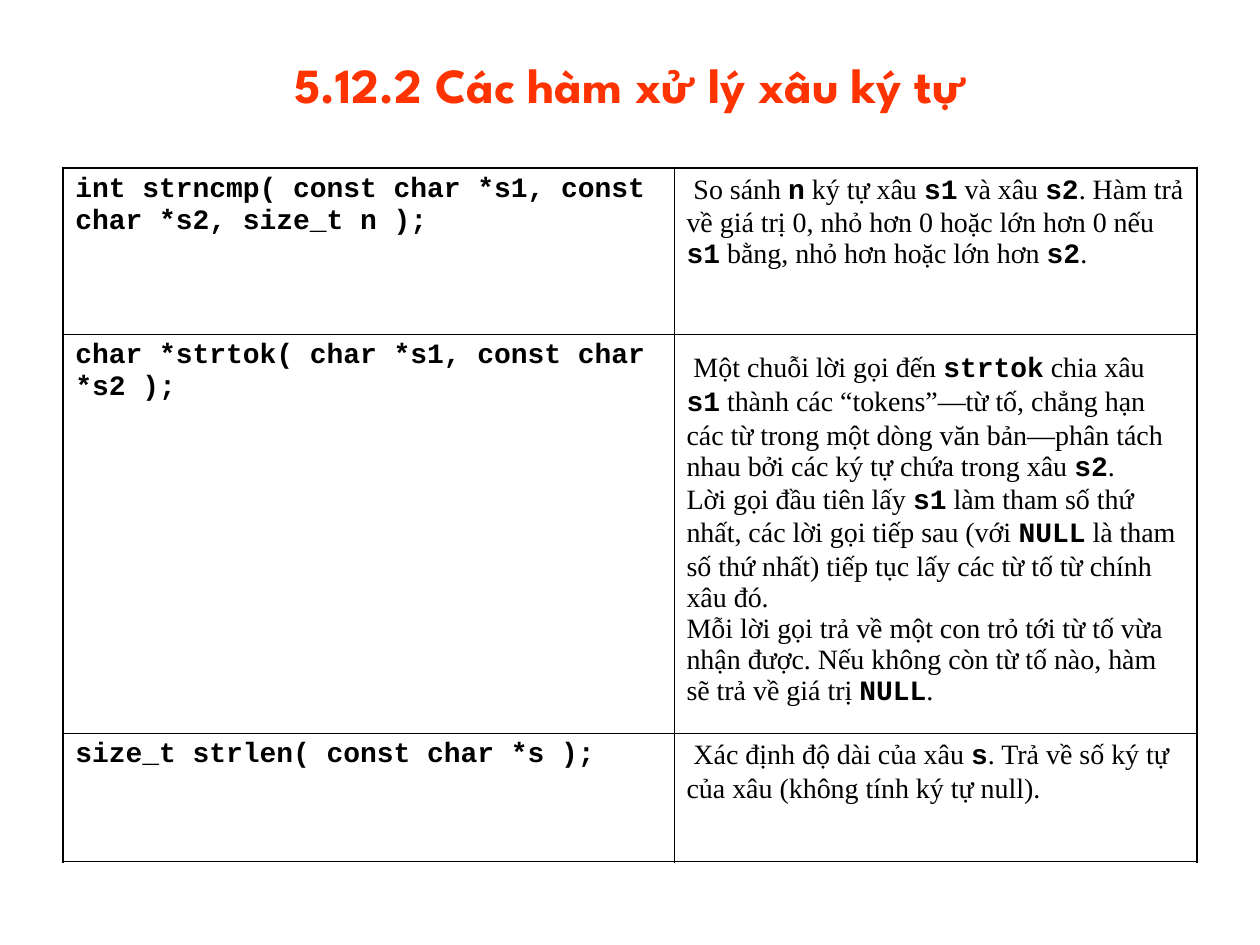
from lxml.etree import SubElement
from pptx import Presentation
from pptx.dml.color import RGBColor
from pptx.enum.text import MSO_ANCHOR as Anchor, PP_ALIGN as Align
from pptx.oxml.ns import qn
from pptx.util import Cm, Pt

ORANGE = RGBColor(0xFF, 0x33, 0x00)
BLACK = RGBColor(0x00, 0x00, 0x00)
CODE = ("Courier New", True, 16)
PROSE = ("Times New Roman", False, 16)
WIDE_GAP = ("Times New Roman", False, 24)
OUTER, INNER = Pt(1.08), Pt(0.45)

COLUMN_WIDTHS = [12.32, 10.54]
ROW_HEIGHTS = [3.35, 8.05, 2.59]
FUNCTIONS = [
    (
        [(CODE, "int strncmp( const char *s1, const char *s2, size_t n );")],
        [
            (PROSE, " So sánh "), (CODE, "n"),
            (PROSE, " ký tự xâu "), (CODE, "s1"),
            (PROSE, " và xâu "), (CODE, "s2"),
            (PROSE, ". Hàm trả về giá trị 0, nhỏ hơn 0 hoặc lớn hơn 0 nếu "), (CODE, "s1"),
            (PROSE, " bằng, nhỏ hơn hoặc lớn hơn "), (CODE, "s2"), (PROSE, "."),
        ],
    ),
    (
        [(CODE, "char *strtok( char *s1, const char *s2 );")],
        [
            (PROSE, " Một chuỗi lời gọi đến "), (CODE, "strtok"),
            (PROSE, " chia xâu"), (WIDE_GAP, " "), (CODE, "s1"),
            (PROSE, " thành các “tokens”—từ tố, chẳng hạn các từ trong một dòng văn bản"
                    "—phân tách nhau bởi các ký tự chứa trong xâu "), (CODE, "s2"),
            (PROSE, ". \nLời gọi đầu tiên lấy "), (CODE, "s1"),
            (PROSE, " làm tham số thứ nhất, các lời gọi tiếp sau (với "), (CODE, "NULL"),
            (PROSE, " là tham số thứ nhất) tiếp tục lấy các từ tố từ chính xâu đó. \n"
                    "Mỗi lời gọi trả về một con trỏ tới từ tố vừa nhận được. "
                    "Nếu không còn từ tố nào, hàm sẽ trả về giá trị "), (CODE, "NULL"),
            (PROSE, "."),
        ],
    ),
    (
        [(CODE, "size_t strlen( const char *s );")],
        [
            (PROSE, " Xác định độ dài của xâu "), (CODE, "s"),
            (PROSE, ". Trả về số ký tự của xâu (không tính ký tự null)."),
        ],
    ),
]


def add_span(para, text, style, color):
    span = para.add_run()
    span.text = text
    span.font.name, span.font.bold, size = style
    span.font.size = Pt(size)
    span.font.color.rgb = color


def add_border(cell, side, width):
    line = SubElement(cell._tc.get_or_add_tcPr(), qn(f"a:ln{side}"), w=str(width))
    fill = SubElement(line, qn("a:solidFill"))
    SubElement(fill, qn("a:srgbClr"), val=str(BLACK))


deck = Presentation()
deck.slide_width, deck.slide_height = Cm(25.4), Cm(19.05)
page = deck.slides.add_slide(deck.slide_layouts[5])

title = page.shapes.title
title.left, title.top, title.width, title.height = Cm(1.91), Cm(0.2), Cm(21.59), Cm(2.97)
title.text_frame.vertical_anchor = Anchor.MIDDLE
heading = title.text_frame.paragraphs[0]
heading.alignment = Align.CENTER
add_span(heading, "5.12.2 Các hàm xử lý xâu ký tự", ("League Spartan", True, 28), ORANGE)

row_count, column_count = len(ROW_HEIGHTS), len(COLUMN_WIDTHS)
table = page.shapes.add_table(
    row_count, column_count, Cm(1.27), Cm(3.38),
    Cm(sum(COLUMN_WIDTHS)), Cm(sum(ROW_HEIGHTS)),
).table
table.first_row = table.horz_banding = False
for column, width in zip(table.columns, COLUMN_WIDTHS):
    column.width = Cm(width)
for row, height in zip(table.rows, ROW_HEIGHTS):
    row.height = Cm(height)

for r, contents in enumerate(FUNCTIONS):
    for c, spans in enumerate(contents):
        cell = table.cell(r, c)
        cell.margin_left = cell.margin_right = Cm(0.25)
        cell.margin_top = cell.margin_bottom = Cm(0.13)
        add_border(cell, "L", OUTER if c == 0 else INNER)
        add_border(cell, "R", OUTER if c == column_count - 1 else INNER)
        add_border(cell, "T", OUTER if r == 0 else INNER)
        add_border(cell, "B", OUTER if r == row_count - 1 else INNER)
        cell.fill.background()
        para = cell.text_frame.paragraphs[0]
        for style, text in spans:
            for index, part in enumerate(text.split("\n")):
                if index:
                    para.add_line_break()
                add_span(para, part, style, BLACK)

deck.save("out.pptx")
